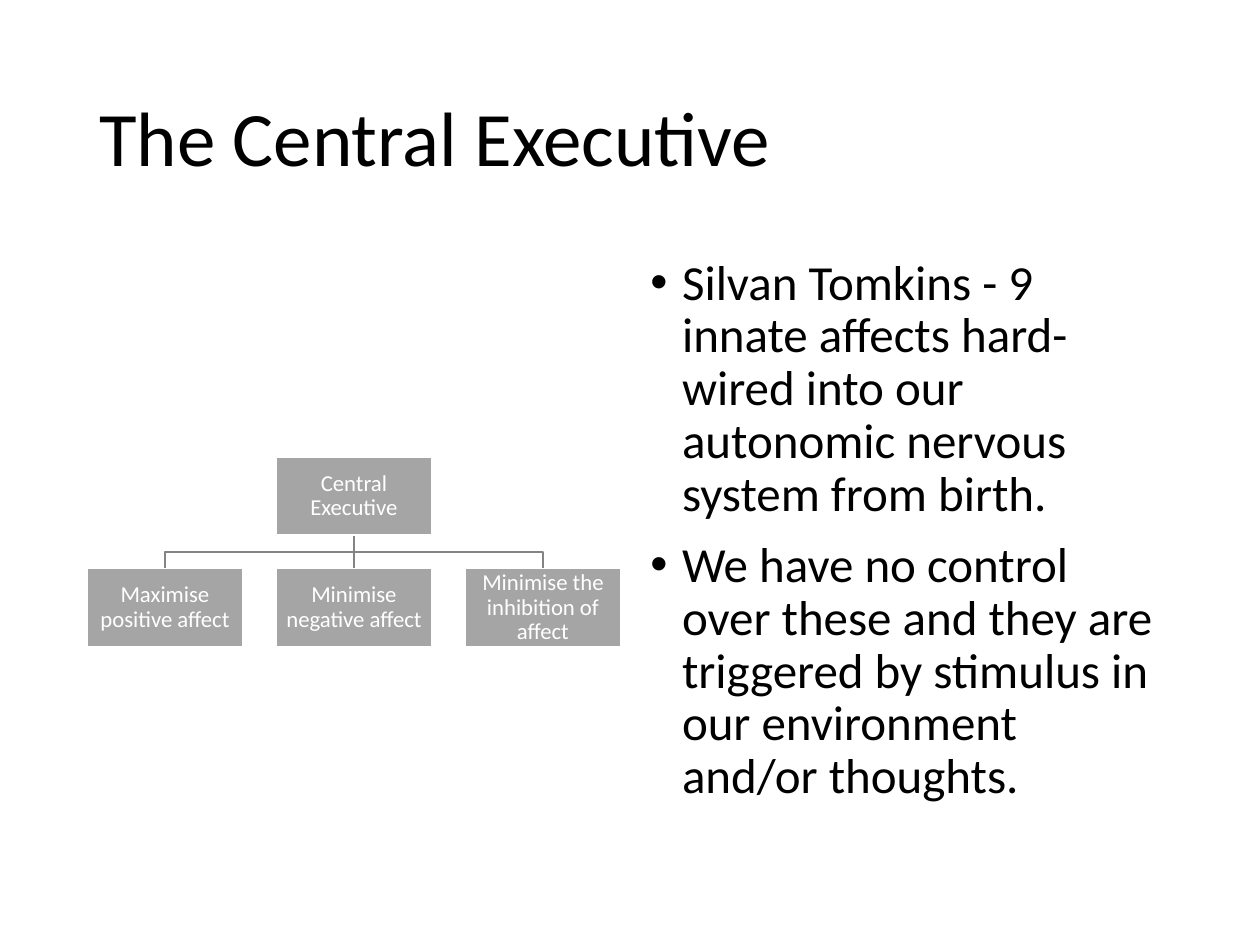
from lxml import etree
from pptx import Presentation
from pptx.dml.color import RGBColor
from pptx.enum.shapes import MSO_CONNECTOR, MSO_SHAPE
from pptx.enum.text import MSO_ANCHOR, PP_ALIGN
from pptx.oxml.ns import qn
from pptx.util import Cm, Pt

STRAIGHT = MSO_CONNECTOR.STRAIGHT
RECT = MSO_SHAPE.RECTANGLE
MIDDLE = MSO_ANCHOR.MIDDLE
CENTER = PP_ALIGN.CENTER

BLACK = RGBColor(0x00, 0x00, 0x00)
WHITE = RGBColor(0xFF, 0xFF, 0xFF)
GREY = RGBColor(0xA5, 0xA5, 0xA5)
DARK = RGBColor(0x84, 0x84, 0x84)
FONT = "Calibri"

TITLE = "The Central Executive"
POINTS = [
    "Silvan Tomkins - 9 innate affects hard-wired into our autonomic nervous system from birth.",
    "We have no control over these and they are triggered by stimulus in our environment and/or thoughts.",
]
ROOT = "Central Executive"
LEAVES = [
    "Maximise positive affect",
    "Minimise negative affect",
    "Minimise the inhibition of affect",
]


def add_run(para, text, size, color):
    """Add one styled run to a paragraph with tight line spacing."""
    para.line_spacing = 0.9
    run = para.add_run()
    run.text = text
    run.font.name = FONT
    run.font.size = Pt(size)
    run.font.color.rgb = color


def add_bullet(para):
    """Give a paragraph a round bullet and a hanging indent."""
    props = para._p.get_or_add_pPr()
    props.set("marL", str(Cm(0.64)))
    props.set("indent", str(-Cm(0.64)))
    etree.SubElement(props, qn("a:buFont")).set("typeface", "Arial")
    etree.SubElement(props, qn("a:buChar")).set("char", "•")


def add_frame(slide, left, top, width, height):
    """Add a wrapping text box and return its text frame."""
    box = slide.shapes.add_textbox(Cm(left), Cm(top), Cm(width), Cm(height))
    box.text_frame.word_wrap = True
    return box.text_frame


def add_title(slide, left, top, width, height):
    """Place the title, centred on the height of its box."""
    frame = add_frame(slide, left, top, width, height)
    frame.vertical_anchor = MIDDLE
    add_run(frame.paragraphs[0], TITLE, 44, BLACK)


def add_points(slide, left, top, width, height):
    """Place the bulleted points."""
    frame = add_frame(slide, left, top, width, height)
    for i, text in enumerate(POINTS):
        para = frame.add_paragraph() if i else frame.paragraphs[0]
        add_bullet(para)
        if i:
            para.space_before = Pt(10)
        add_run(para, text, 28, BLACK)


def add_node(slide, left, top, width, height, text):
    """Place one labelled box of the tree."""
    node = slide.shapes.add_shape(RECT, Cm(left), Cm(top), Cm(width), Cm(height))
    node.shadow.inherit = False
    node.fill.solid()
    node.fill.fore_color.rgb = GREY
    node.line.color.rgb = WHITE
    node.line.width = Pt(1)
    frame = node.text_frame
    frame.word_wrap = True
    frame.vertical_anchor = MIDDLE
    frame.margin_left = frame.margin_right = Cm(0.03)
    frame.margin_top = frame.margin_bottom = Cm(0.03)
    frame.paragraphs[0].alignment = CENTER
    add_run(frame.paragraphs[0], text, 13, WHITE)


def add_branch(slide, start, end):
    """Draw a line from the root to a leaf, bent halfway if they are not in line."""
    (x, top), (goal, low) = start, end
    if x == goal:
        line = slide.shapes.add_connector(STRAIGHT, Cm(x), Cm(top), Cm(goal), Cm(low))
        etree.SubElement(line._element.spPr, qn("a:effectLst"))
    else:
        mid = (top + low) / 2
        path = slide.shapes.build_freeform(Cm(x), Cm(top))
        bends = [(Cm(x), Cm(mid)), (Cm(goal), Cm(mid)), (Cm(goal), Cm(low))]
        path.add_line_segments(bends, close=False)
        line = path.convert_to_shape()
        line.shadow.inherit = False
        line.fill.background()
    line.line.color.rgb = DARK
    line.line.width = Pt(1)


def add_tree(slide, left, top, width, height):
    """Place the root above an even row of leaves and join them."""
    wide, high = 3.15, 1.58
    step = (width - wide) / (len(LEAVES) - 1)
    lefts = [left + i * step for i in range(len(LEAVES))]
    head = lefts[len(LEAVES) // 2]
    low = top + height - high
    for x in lefts:
        add_branch(slide, (head + wide / 2, top + high), (x + wide / 2, low))
    add_node(slide, head, top, wide, high, ROOT)
    for x, text in zip(lefts, LEAVES):
        add_node(slide, x, low, wide, high, text)


def main():
    """Build and save the slide."""
    deck = Presentation()
    deck.slide_width, deck.slide_height = Cm(25.4), Cm(19.05)
    slide = deck.slides.add_slide(deck.slide_layouts[6])
    add_title(slide, 1.75, 1.01, 21.91, 3.68)
    add_points(slide, 12.86, 5.07, 10.8, 12.09)
    add_tree(slide, 1.75, 9.21, 10.77, 3.83)
    deck.save("out.pptx")


if __name__ == "__main__":
    main()
